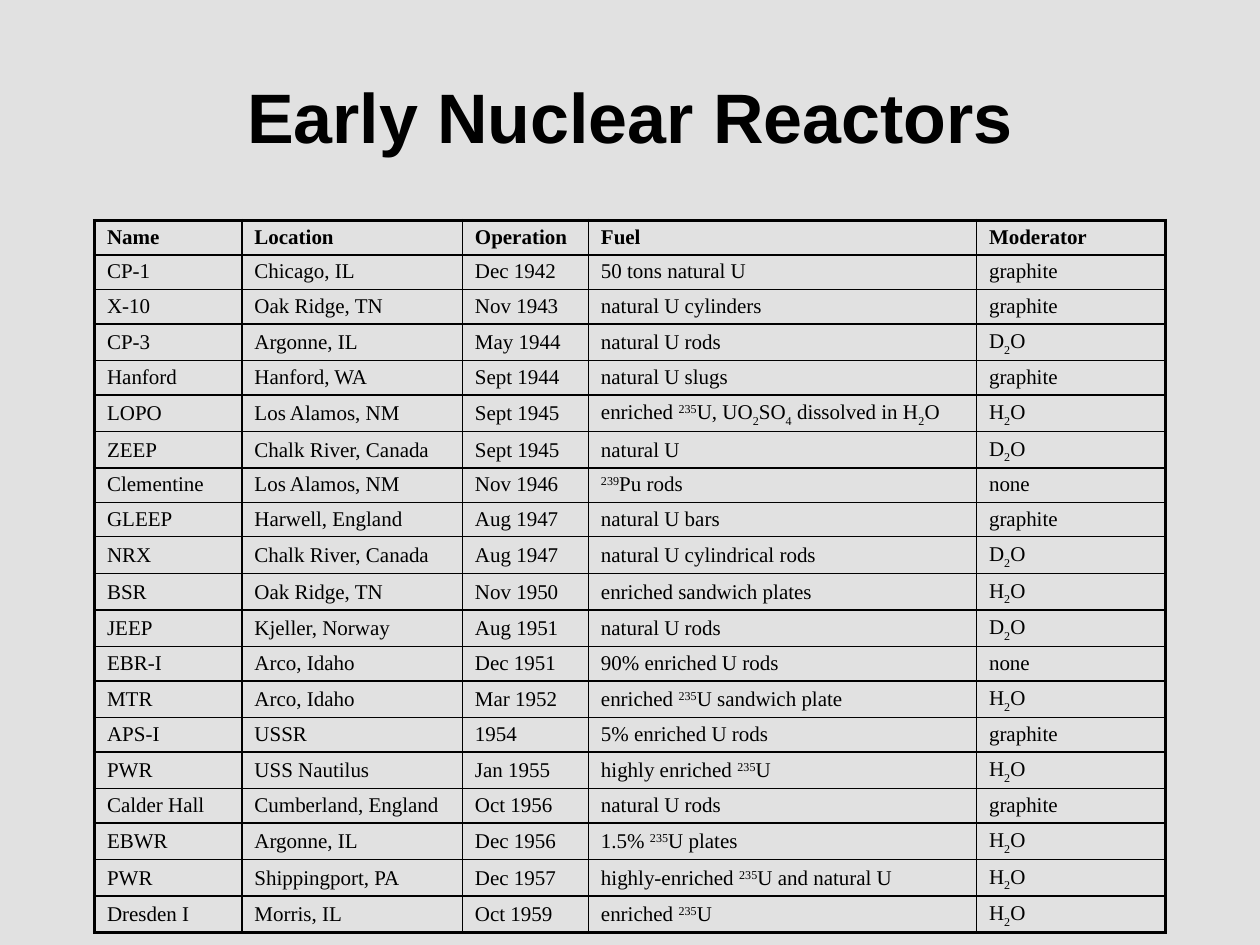
from pptx import Presentation
from pptx.dml.color import RGBColor
from pptx.enum.text import MSO_ANCHOR as Anchor, PP_ALIGN as Align
from pptx.oxml.ns import qn
from pptx.util import Inches, Pt
from lxml.etree import SubElement

COLORS = {"background": "E1E1E1", "ink": "000000"}
TITLE_FONT, TABLE_FONT = "Arial", "Times New Roman"
OUTER, INNER = 2.25, 1
COL_WIDTHS = [1.17, 1.75, 1, 3.08, 1.5]
BASELINES = {"^": "30000", "_": "-25000"}

# Pieces between bars starting with ^ are superscript, with _ subscript.
WATER, HEAVY_WATER = "H|_2|O", "D|_2|O"
REACTORS = [
    ("Name", "Location", "Operation", "Fuel", "Moderator"),
    ("CP-1", "Chicago, IL", "Dec 1942", "50 tons natural U", "graphite"),
    ("X-10", "Oak Ridge, TN", "Nov 1943", "natural U cylinders", "graphite"),
    ("CP-3", "Argonne, IL", "May 1944", "natural U rods", HEAVY_WATER),
    ("Hanford", "Hanford, WA", "Sept 1944", "natural U slugs", "graphite"),
    ("LOPO", "Los Alamos, NM", "Sept 1945",
     "enriched |^235|U, UO|_2|SO|_4| dissolved in H|_2|O", WATER),
    ("ZEEP", "Chalk River, Canada", "Sept 1945", "natural U", HEAVY_WATER),
    ("Clementine", "Los Alamos, NM", "Nov 1946", "^239|Pu rods", "none"),
    ("GLEEP", "Harwell, England", "Aug 1947", "natural U bars", "graphite"),
    ("NRX", "Chalk River, Canada", "Aug 1947", "natural U cylindrical rods", HEAVY_WATER),
    ("BSR", "Oak Ridge, TN", "Nov 1950", "enriched sandwich plates", WATER),
    ("JEEP", "Kjeller, Norway", "Aug 1951", "natural U rods", HEAVY_WATER),
    ("EBR-I", "Arco, Idaho", "Dec 1951", "90% enriched U rods", "none"),
    ("MTR", "Arco, Idaho", "Mar 1952", "enriched |^235|U sandwich plate", WATER),
    ("APS-I", "USSR", "1954", "5% enriched U rods", "graphite"),
    ("PWR", "USS Nautilus", "Jan 1955", "highly enriched |^235|U", WATER),
    ("Calder Hall", "Cumberland, England", "Oct 1956", "natural U rods", "graphite"),
    ("EBWR", "Argonne, IL", "Dec 1956", "1.5% |^235|U plates", WATER),
    ("PWR", "Shippingport, PA", "Dec 1957", "highly-enriched |^235|U and natural U", WATER),
    ("Dresden I", "Morris, IL", "Oct 1959", "enriched |^235|U", WATER),
]


def color(name):
    return RGBColor.from_string(COLORS[name])


def add_run(p, text, font, size, bold):
    r = p.add_run()
    r.text = text
    r.font.name, r.font.size, r.font.bold = font, Pt(size), bold
    r.font.color.rgb = color("ink")
    return r


def add_title(s, text, left, top, width, height):
    sp = s.shapes.title
    sp.left, sp.top, sp.width, sp.height = left, top, width, height
    tf = sp.text_frame
    tf.vertical_anchor = Anchor.MIDDLE
    p = tf.paragraphs[0]
    p.alignment = Align.CENTER
    add_run(p, text, TITLE_FONT, 40, True)


def set_borders(cell, **widths):
    """Draw the borders L, R, T and B, given in points in that order."""
    tc_pr = cell._tc.get_or_add_tcPr()
    for side, width in widths.items():
        ln = SubElement(tc_pr, qn(f"a:ln{side}"), w=str(Pt(width)))
        fill = SubElement(ln, qn("a:solidFill"))
        SubElement(fill, qn("a:srgbClr"), val=COLORS["ink"])


def fill_cell(cell, text, bold):
    cell.fill.background()
    cell.vertical_anchor = Anchor.BOTTOM
    p = cell.text_frame.paragraphs[0]
    p.line_spacing = 0.9
    for piece in text.split("|"):
        baseline = BASELINES.get(piece[0])
        r = add_run(p, piece[1:] if baseline else piece, TABLE_FONT, 12, bold)
        if baseline:
            r.font._element.set("baseline", baseline)


def add_reactor_table(s, rows, left, top, width, height):
    last_row, last_col = len(rows) - 1, len(COL_WIDTHS) - 1
    table = s.shapes.add_table(len(rows), len(COL_WIDTHS), left, top, width, height).table
    table.first_row = table.horz_banding = False
    for col, col_width in zip(table.columns, COL_WIDTHS):
        col.width = Inches(col_width)
    for i, row in enumerate(rows):
        for j, text in enumerate(row):
            cell = table.cell(i, j)
            set_borders(cell,
                        L=OUTER if j == 0 else INNER,
                        R=OUTER if j == last_col else INNER,
                        T=OUTER if i == 0 else INNER,
                        B=OUTER if i == last_row else INNER)
            fill_cell(cell, text, bold=i == 0)


def main():
    prs = Presentation()
    prs.slide_width, prs.slide_height = Inches(10), Inches(7.5)
    s = prs.slides.add_slide(prs.slide_layouts[5])
    s.background.fill.solid()
    s.background.fill.fore_color.rgb = color("background")
    left, width = Inches(0.75), Inches(8.5)
    add_title(s, "Early Nuclear Reactors", left, Inches(0.25), width, Inches(1.33))
    add_reactor_table(s, REACTORS, left, Inches(1.75), width, Inches(5.47))
    prs.save("out.pptx")


if __name__ == "__main__":
    main()
